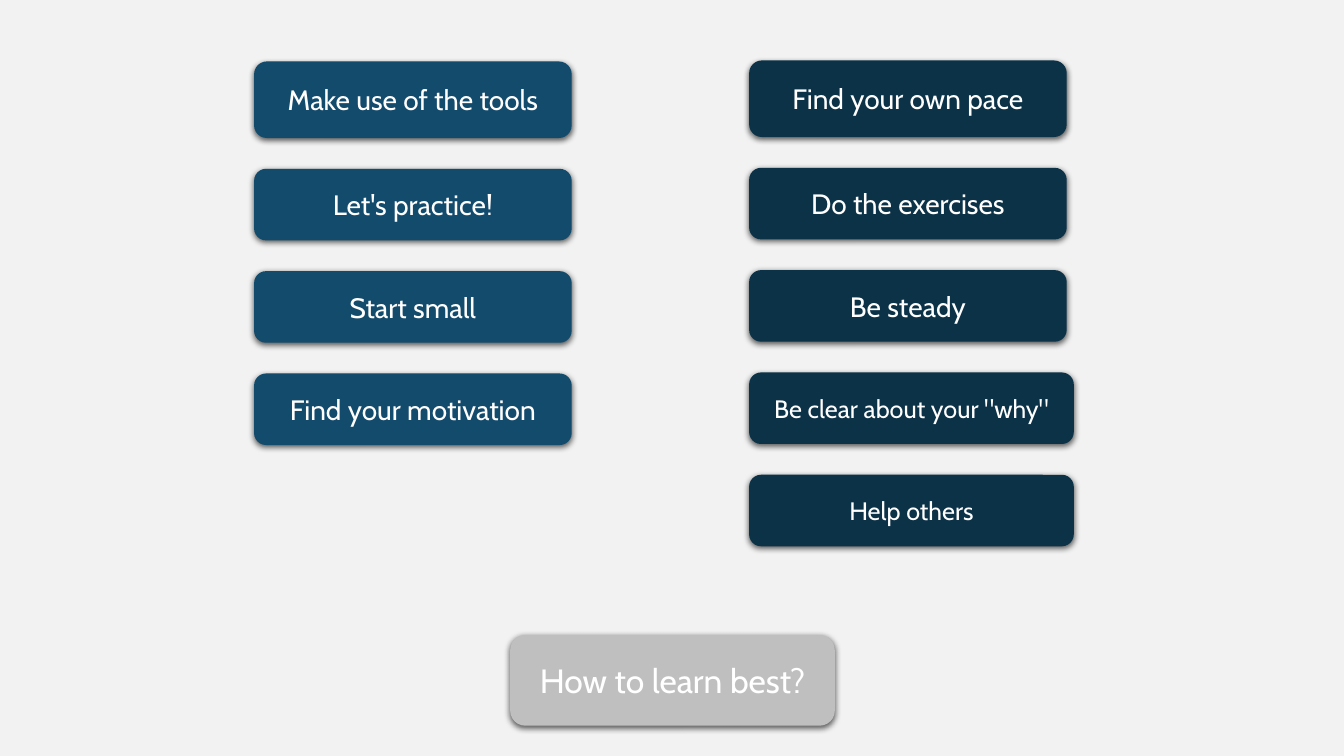
from lxml import etree
from pptx import Presentation
from pptx import util as u
from pptx.dml.color import RGBColor
from pptx.enum import shapes, text
from pptx.oxml.ns import qn


def rgb(value):
    return RGBColor.from_string(value)


class Board:
    FONT = "Cabin"
    BACKGROUND, WHITE = "F2F2F2", "FFFFFF"
    COLUMNS = (2.52, 7.43)
    FIRST_BOTTOMS = (1.37, 1.36)
    ROW_PITCH = 1.015

    def __init__(self, prs):
        self.s = prs.slides.add_slide(prs.slide_layouts[6])
        fill = self.s.background.fill
        fill.solid()
        fill.fore_color.rgb = rgb(self.BACKGROUND)

    def shadow(self, sp):
        sp.shadow.inherit = False
        effects = sp._element.spPr.find(qn("a:effectLst"))
        outer = etree.SubElement(effects, qn("a:outerShdw"), blurRad=str(u.Pt(4.5)),
                                 dist=str(u.Pt(1.5)), dir="5400000",
                                 algn="ctr", rotWithShape="0")
        color = etree.SubElement(outer, qn("a:srgbClr"), val="000000")
        etree.SubElement(color, qn("a:alpha"), val="63000")

    def button(self, label, left, top, width, height, color, size):
        sp = self.s.shapes.add_shape(shapes.MSO_SHAPE.ROUNDED_RECTANGLE,
                                     *map(u.Inches, (left, top, width, height)))
        sp.fill.solid()
        sp.fill.fore_color.rgb = rgb(color)
        sp.line.fill.background()
        self.shadow(sp)
        tf = sp.text_frame
        tf.word_wrap = True
        tf.vertical_anchor = text.MSO_ANCHOR.MIDDLE
        p = tf.paragraphs[0]
        p.text = label
        p.alignment = text.PP_ALIGN.CENTER
        p.font.name = self.FONT
        p.font.size = u.Pt(size)
        p.font.color.rgb = rgb(self.WHITE)

    def cell(self, label, column, row, color, width=3.15, size=20):
        height = 0.71 if row else 0.76
        bottom = self.FIRST_BOTTOMS[column] + row * self.ROW_PITCH
        self.button(label, self.COLUMNS[column], bottom - height,
                    width, height, color, size)


def main():
    prs = Presentation()
    prs.slide_width, prs.slide_height = u.Inches(13.33), u.Inches(7.5)
    board = Board(prs)

    basics = ["Make use of the tools", "Let's practice!", "Start small",
              "Find your motivation"]
    for row, label in enumerate(basics):
        board.cell(label, 0, row, "134B6D")

    habits = ["Find your own pace", "Do the exercises", "Be steady",
              'Be clear about your "why"', "Help others"]
    for row, label in enumerate(habits):
        style = {"width": 3.22, "size": 18} if row > 2 else {}
        board.cell(label, 1, row, "0C3248", **style)

    board.button("How to learn best?", 5.06, 6.3, 3.22, 0.9, "BFBFBF", 24)
    prs.save("out.pptx")


if __name__ == "__main__":
    main()
